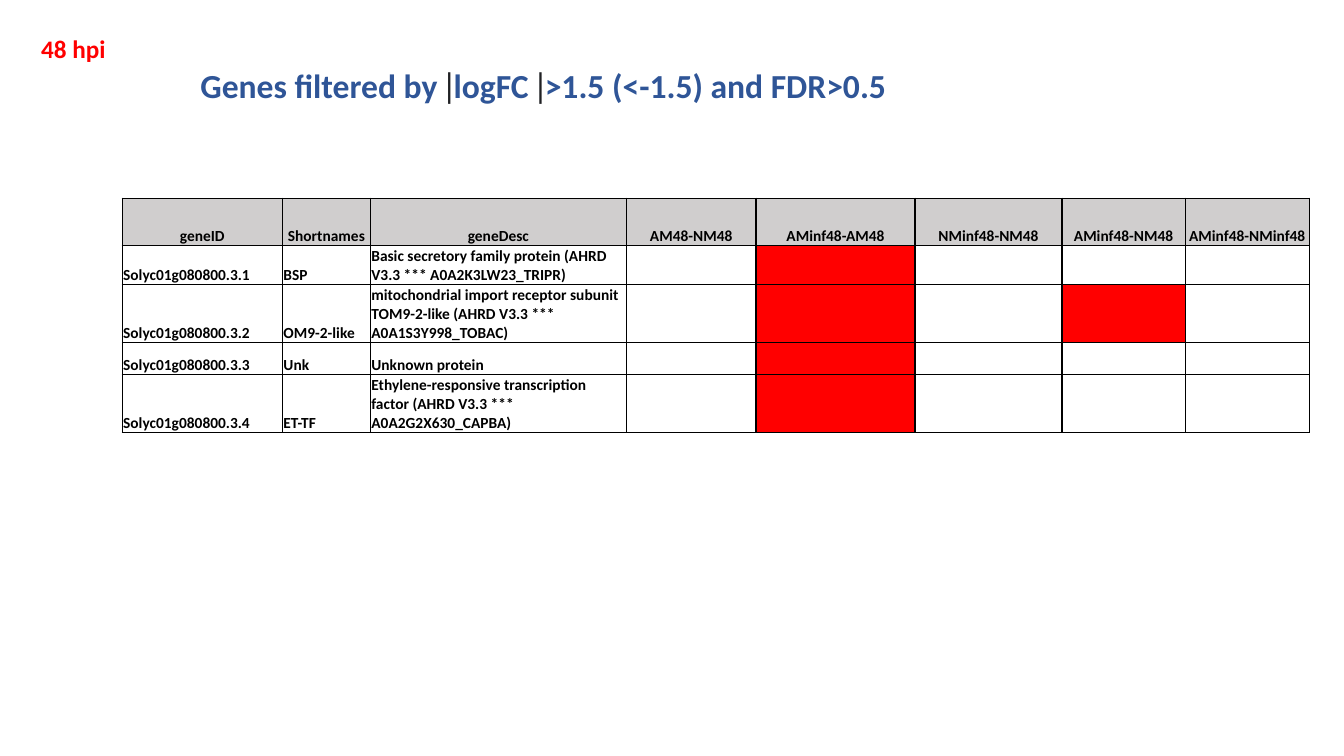
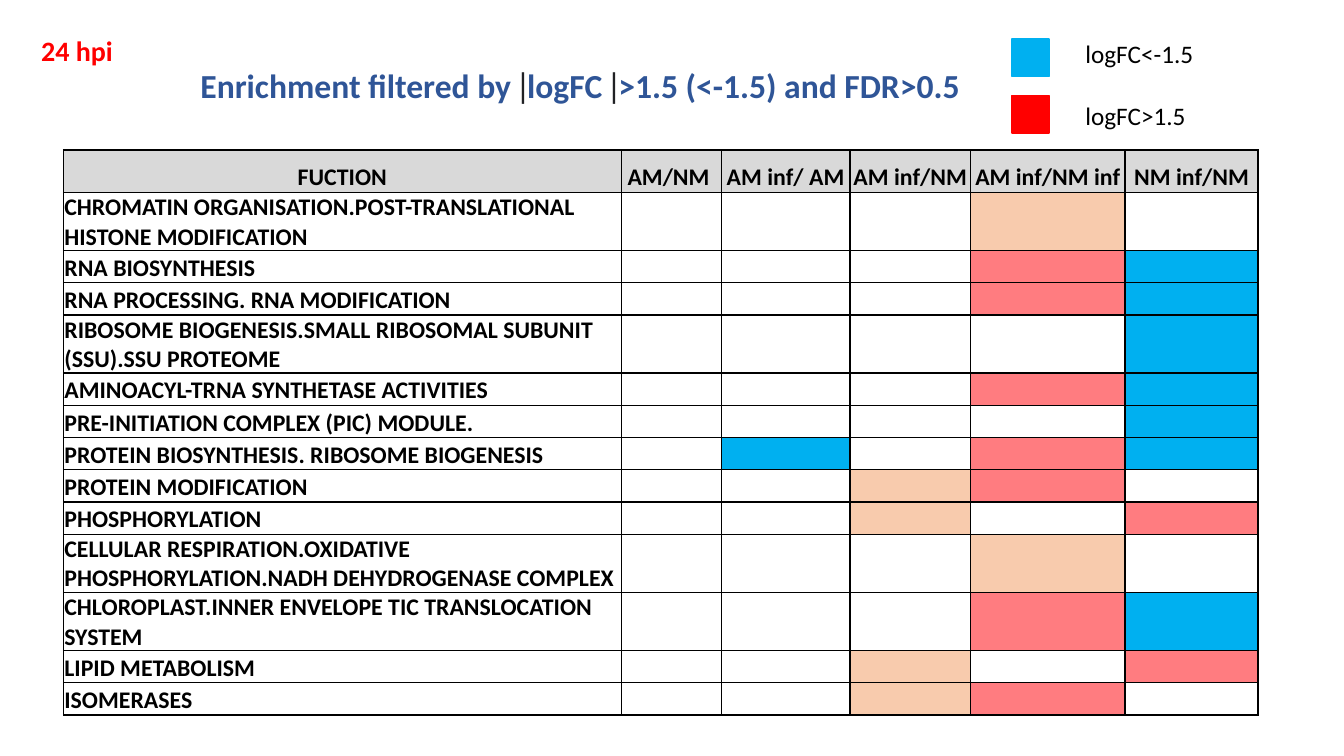
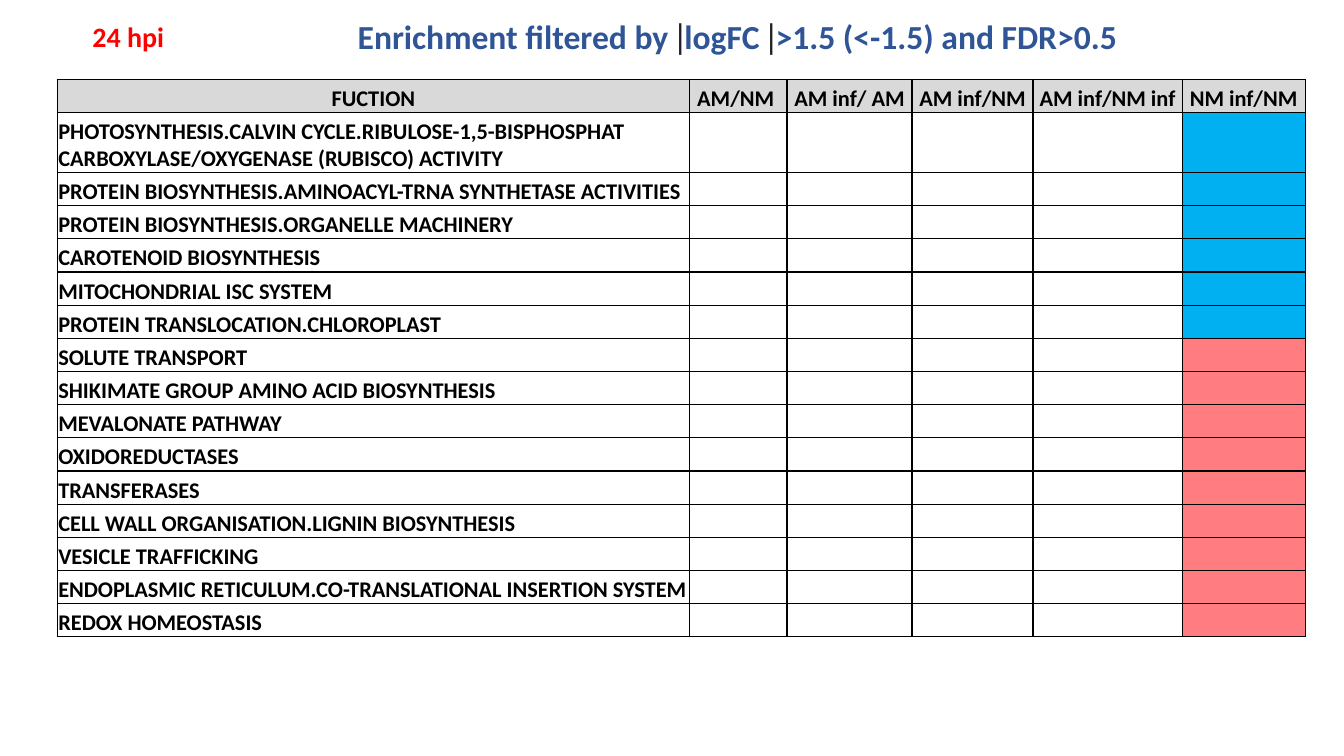
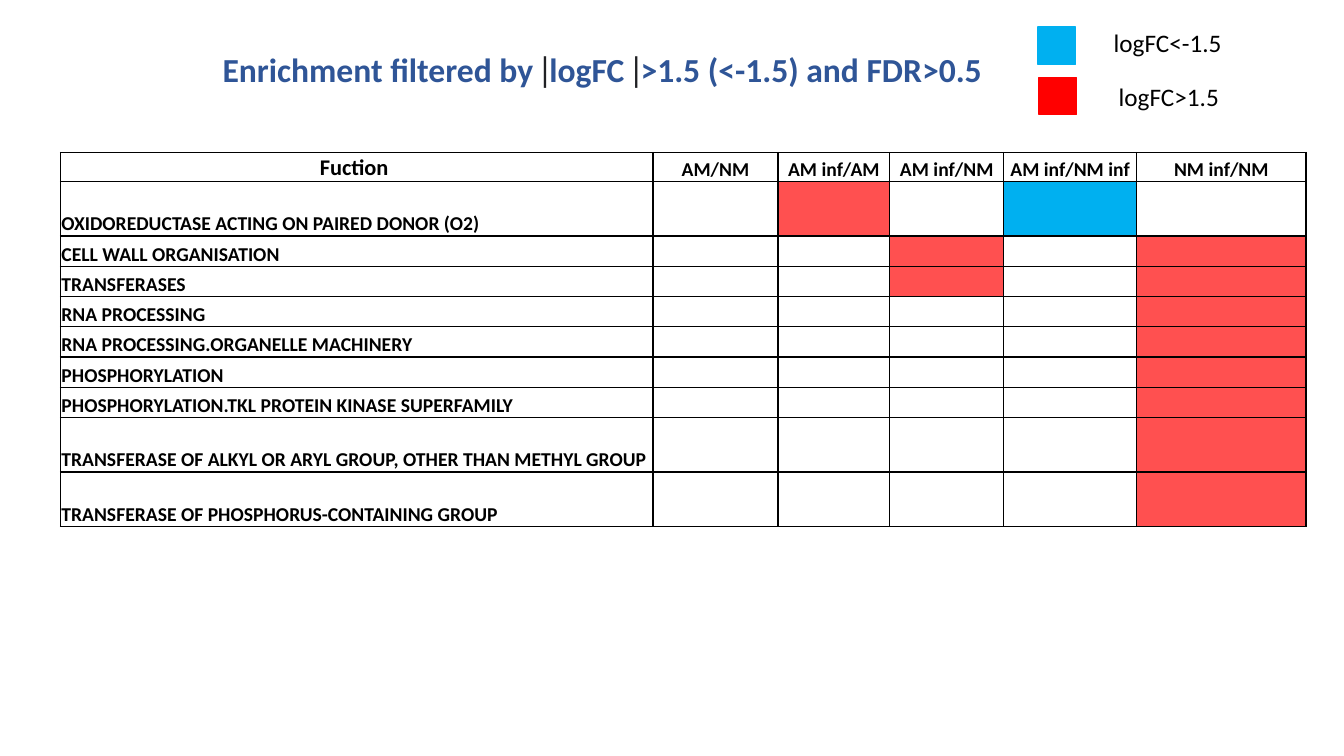
from dataclasses import dataclass
from typing import Any, NamedTuple

from lxml import etree
from pptx import Presentation
from pptx.dml.color import RGBColor
from pptx.enum.shapes import MSO_SHAPE
from pptx.enum.text import MSO_ANCHOR, MSO_AUTO_SIZE, PP_ALIGN
from pptx.oxml.ns import qn
from pptx.util import Pt

RECT = MSO_SHAPE.RECTANGLE
BOTTOM = MSO_ANCHOR.BOTTOM
GROW = MSO_AUTO_SIZE.SHAPE_TO_FIT_TEXT
LEFT, CENTER = PP_ALIGN.LEFT, PP_ALIGN.CENTER


@dataclass(frozen=True)
class Theme:
    font: str = "Calibri"
    bar_font: str = "Lato"
    ink: str = "000000"
    title: str = "2F5597"
    bar: str = "202124"
    up: str = "FF0000"
    down: str = "00B0F0"
    peach: str = "F8CBAD"
    rose: str = "FF7C80"
    coral: str = "FF5050"
    gene_header: str = "D0CECE"
    function_header: str = "D9D9D9"
    title_size: float = 24
    legend_size: float = 18
    swatch: float = 26.6
    border: float = 1


THEME = Theme()
# One letter per comparison column; a dot leaves the cell empty.
MARKS = {"U": THEME.up, "D": THEME.down, "P": THEME.peach,
         "R": THEME.rose, "C": THEME.coral}


class Run(NamedTuple):
    text: str
    size: float
    color: str = THEME.ink
    bold: bool = False
    font: str = THEME.font


class Row(NamedTuple):
    texts: tuple[str, ...]
    marks: str
    lines: int = 1


class Key(NamedTuple):
    label: str
    color: str
    swatch_at: tuple[float, float]
    label_at: tuple[float, float]


class Grid(NamedTuple):
    at: tuple[float, float]
    size: float
    widths: tuple[float, ...]
    headers: tuple[str, ...]
    header_height: float
    line_heights: dict[int, float]
    rows: list[Row]
    header_fill: str | None = None
    corner_size: float | None = None


class Page(NamedTuple):
    subject: str
    title_at: tuple[float, float]
    grid: Grid
    time: Run | None = None
    time_at: tuple[float, float] = (22.3, 20.2)
    legend: tuple[Key, ...] = ()


def set_attrs(obj: Any, values: dict[str, Any]) -> None:
    for name, value in values.items():
        setattr(obj, name, value)


def add_run(p: Any, run: Run) -> None:
    r = p.add_run()
    r.text = run.text
    set_attrs(r.font, {"name": run.font, "size": Pt(run.size), "bold": run.bold})
    r.font.color.rgb = RGBColor.from_string(run.color)


def add_text(s: Any, at: tuple[float, float], width: float, height: float,
             *runs: Run) -> None:
    tf = s.shapes.add_textbox(Pt(at[0]), Pt(at[1]), Pt(width), Pt(height)).text_frame
    set_attrs(tf, {"word_wrap": True, "auto_size": GROW})
    for run in runs:
        add_run(tf.paragraphs[0], run)


def add_title(s: Any, subject: str, at: tuple[float, float]) -> None:
    bar = Run("|", THEME.title_size, THEME.bar, False, THEME.bar_font)
    words = [Run(text, THEME.title_size, THEME.title, True) for text in
             (f"{subject} filtered by ", "logFC ", ">1.5 (<-1.5) and FDR>0.5")]
    add_text(s, at, 652.3, 36, words[0], bar, words[1], bar, words[2])


def add_key(s: Any, key: Key) -> None:
    """Draw one legend entry: a colour swatch and its label."""
    x, y = key.swatch_at
    sp = s.shapes.add_shape(RECT, Pt(x), Pt(y), Pt(THEME.swatch), Pt(THEME.swatch))
    sp.shadow.inherit = False
    sp.fill.solid()
    sp.fill.fore_color.rgb = RGBColor.from_string(key.color)
    sp.line.color.rgb = RGBColor.from_string(key.color)
    sp.line.width = Pt(1)
    add_text(s, key.label_at, 169.2, 28.8, Run(key.label, THEME.legend_size))


def add_borders(cell: Any) -> None:
    tcPr = cell._tc.get_or_add_tcPr()
    for i, side in enumerate(("lnL", "lnR", "lnT", "lnB")):
        ln = etree.Element(qn(f"a:{side}"), w=str(Pt(THEME.border)))
        fill = etree.SubElement(ln, qn("a:solidFill"))
        etree.SubElement(fill, qn("a:srgbClr"), val=THEME.ink)
        tcPr.insert(i, ln)


def fill_cell(cell: Any, text: str, size: float, fill: str | None,
              align: Any = LEFT) -> None:
    set_attrs(cell, {"vertical_anchor": BOTTOM, "margin_left": Pt(0.7),
                     "margin_right": Pt(0.7), "margin_top": Pt(0.7),
                     "margin_bottom": Pt(0)})
    if fill:
        cell.fill.solid()
        cell.fill.fore_color.rgb = RGBColor.from_string(fill)
    else:
        cell.fill.background()
    add_borders(cell)
    p = cell.text_frame.paragraphs[0]
    p.alignment = align
    if text:
        add_run(p, Run(text, size, bold=True))
    else:
        etree.SubElement(p._p, qn("a:endParaRPr"), sz=str(round(size * 100)))


def add_grid(s: Any, grid: Grid) -> None:
    heights = [grid.header_height] + [grid.line_heights[r.lines] for r in grid.rows]
    table = s.shapes.add_table(len(heights), len(grid.widths), Pt(grid.at[0]),
                               Pt(grid.at[1]), Pt(sum(grid.widths)),
                               Pt(sum(heights))).table
    set_attrs(table, {"first_row": False, "horz_banding": False})
    for column, width in zip(table.columns, grid.widths):
        column.width = Pt(width)
    for table_row, height in zip(table.rows, heights):
        table_row.height = Pt(height)
    for c, header in enumerate(grid.headers):
        size = grid.corner_size if c == 0 and grid.corner_size else grid.size
        fill_cell(table.cell(0, c), header, size, grid.header_fill, CENTER)
    for r, row in enumerate(grid.rows, 1):
        for c, text in enumerate(row.texts):
            fill_cell(table.cell(r, c), text, grid.size, None)
        for c, mark in enumerate(row.marks, len(row.texts)):
            fill_cell(table.cell(r, c), "", grid.size, MARKS.get(mark))


def add_page(prs: Any, page: Page) -> None:
    s = prs.slides.add_slide(prs.slide_layouts[6])
    add_grid(s, page.grid)
    add_title(s, page.subject, page.title_at)
    if page.time:
        add_text(s, page.time_at, 133.9, 30, page.time)
    for key in page.legend:
        add_key(s, key)


FUNCTION_HEADERS = ("FUCTION", "AM/NM ", "AM inf/ AM", "AM inf/NM",
                    "AM inf/NM inf", "NM inf/NM")
DOWN_LABEL, UP_LABEL = "logFC<-1.5", "logFC>1.5"

GENES = Grid(
    at=(87.3, 141.6), size=11,
    widths=(114.5, 62.8, 182.9, 92.6, 113.6, 105, 88, 88.6),
    headers=("geneID", "Shortnames", "geneDesc", "AM48-NM48", "AMinf48-AM48",
             "NMinf48-NM48", "AMinf48-NM48", "AMinf48-NMinf48"),
    header_height=33.8, line_heights={1: 22.8, 2: 27.4, 3: 40},
    header_fill=THEME.gene_header,
    rows=[
        Row(("Solyc01g080800.3.1", "BSP",
             "Basic secretory family protein (AHRD V3.3 *** A0A2K3LW23_TRIPR)"),
            ".U...", 2),
        Row(("Solyc01g080800.3.2", "OM9-2-like",
             "mitochondrial import receptor subunit TOM9-2-like "
             "(AHRD V3.3 *** A0A1S3Y998_TOBAC)"), ".U.U.", 3),
        Row(("Solyc01g080800.3.3", "Unk", "Unknown protein"), ".U..."),
        Row(("Solyc01g080800.3.4", "ET-TF",
             "Ethylene-responsive transcription factor "
             "(AHRD V3.3 *** A0A2G2X630_CAPBA)"), ".U...", 3),
    ])

FUNCTIONS = Grid(
    at=(45.3, 107.2), size=17, widths=(398.5, 71.4, 92, 86.1, 110.4, 95),
    headers=FUNCTION_HEADERS, header_height=30.2,
    line_heights={1: 23.04, 2: 41.5}, header_fill=THEME.function_header,
    rows=[
        Row(("CHROMATIN ORGANISATION.POST-TRANSLATIONAL HISTONE MODIFICATION",),
            "...P.", 2),
        Row(("RNA BIOSYNTHESIS",), "...RD"),
        Row(("RNA PROCESSING. RNA MODIFICATION",), "...RD"),
        Row(("RIBOSOME BIOGENESIS.SMALL RIBOSOMAL SUBUNIT (SSU).SSU PROTEOME",),
            "....D", 2),
        Row(("AMINOACYL-TRNA SYNTHETASE ACTIVITIES",), "...RD"),
        Row(("PRE-INITIATION COMPLEX (PIC) MODULE.",), "....D"),
        Row(("PROTEIN BIOSYNTHESIS. RIBOSOME BIOGENESIS",), ".D.RD"),
        Row(("PROTEIN MODIFICATION",), "..PR."),
        Row(("PHOSPHORYLATION",), "..P.R"),
        Row(("CELLULAR RESPIRATION.OXIDATIVE PHOSPHORYLATION.NADH "
             "DEHYDROGENASE COMPLEX",), "...P.", 2),
        Row(("CHLOROPLAST.INNER ENVELOPE TIC TRANSLOCATION SYSTEM",), "...RD", 2),
        Row(("LIPID METABOLISM",), "..P.R"),
        Row(("ISOMERASES",), "..PR."),
    ])

MORE_FUNCTIONS = Grid(
    at=(41, 56.9), size=16, widths=(451.4, 69.8, 89.3, 86.4, 106.6, 87.8),
    headers=FUNCTION_HEADERS, header_height=23.7,
    line_heights={1: 23.7, 2: 42.6}, header_fill=THEME.function_header,
    rows=[
        Row(("PHOTOSYNTHESIS.CALVIN CYCLE.RIBULOSE-1,5-BISPHOSPHAT "
             "CARBOXYLASE/OXYGENASE (RUBISCO) ACTIVITY",), "....D", 2),
        *(Row((name,), "....D") for name in (
            "PROTEIN BIOSYNTHESIS.AMINOACYL-TRNA SYNTHETASE ACTIVITIES",
            "PROTEIN BIOSYNTHESIS.ORGANELLE MACHINERY",
            "CAROTENOID BIOSYNTHESIS",
            "MITOCHONDRIAL ISC SYSTEM",
            "PROTEIN TRANSLOCATION.CHLOROPLAST")),
        *(Row((name,), "....R") for name in (
            "SOLUTE TRANSPORT",
            "SHIKIMATE GROUP AMINO ACID BIOSYNTHESIS",
            "MEVALONATE PATHWAY",
            "OXIDOREDUCTASES",
            "TRANSFERASES",
            "CELL WALL ORGANISATION.LIGNIN BIOSYNTHESIS",
            "VESICLE TRAFFICKING",
            "ENDOPLASMIC RETICULUM.CO-TRANSLATIONAL INSERTION SYSTEM",
            "REDOX HOMEOSTASIS")),
    ])

LAST_FUNCTIONS = Grid(
    at=(43.2, 108.9), size=14, corner_size=16,
    widths=(423.2, 89.3, 79.9, 81.4, 95, 121),
    headers=("Fuction ", "AM/NM", "AM inf/AM", "AM inf/NM", "AM inf/NM inf",
             "NM inf/NM"),
    header_height=20.7, line_heights={1: 21.6, 2: 39},
    rows=[
        Row(("OXIDOREDUCTASE ACTING ON PAIRED DONOR (O2)",), ".C.D.", 2),
        Row(("CELL WALL ORGANISATION",), "..C.C"),
        Row(("TRANSFERASES",), "..C.C"),
        *(Row((name,), "....C") for name in (
            "RNA PROCESSING",
            "RNA PROCESSING.ORGANELLE MACHINERY",
            "PHOSPHORYLATION",
            "PHOSPHORYLATION.TKL PROTEIN KINASE SUPERFAMILY")),
        *(Row((name,), "....C", 2) for name in (
            "TRANSFERASE OF ALKYL OR ARYL GROUP, OTHER THAN METHYL GROUP",
            "TRANSFERASE OF PHOSPHORUS-CONTAINING GROUP")),
    ])

DAY_ONE = Run("24 hpi", 20, THEME.up, True)
DAY_TWO = Run("48 hpi", 18, THEME.up, True)

PAGES = (
    Page("Genes", (136.1, 42.5), GENES, DAY_TWO),
    Page("Enrichment", (136.1, 42.5), FUNCTIONS, DAY_ONE, legend=(
        Key(DOWN_LABEL, THEME.down, (722.9, 28), (768.2, 23.8)),
        Key(UP_LABEL, THEME.up, (722.9, 68.4), (768.2, 67.9)))),
    Page("Enrichment", (248.4, 7.9), MORE_FUNCTIONS, DAY_ONE, (59, 10.1)),
    Page("Enrichment", (151.9, 31.7), LAST_FUNCTIONS, legend=(
        Key(DOWN_LABEL, THEME.down, (741.6, 19.4), (788.4, 15.8)),
        Key(UP_LABEL, THEME.up, (742.3, 55.4), (792, 54.7)))),
)


def main() -> None:
    prs = Presentation()
    set_attrs(prs, {"slide_width": Pt(960), "slide_height": Pt(540)})
    for page in PAGES:
        add_page(prs, page)
    prs.save("out.pptx")


if __name__ == "__main__":
    main()
